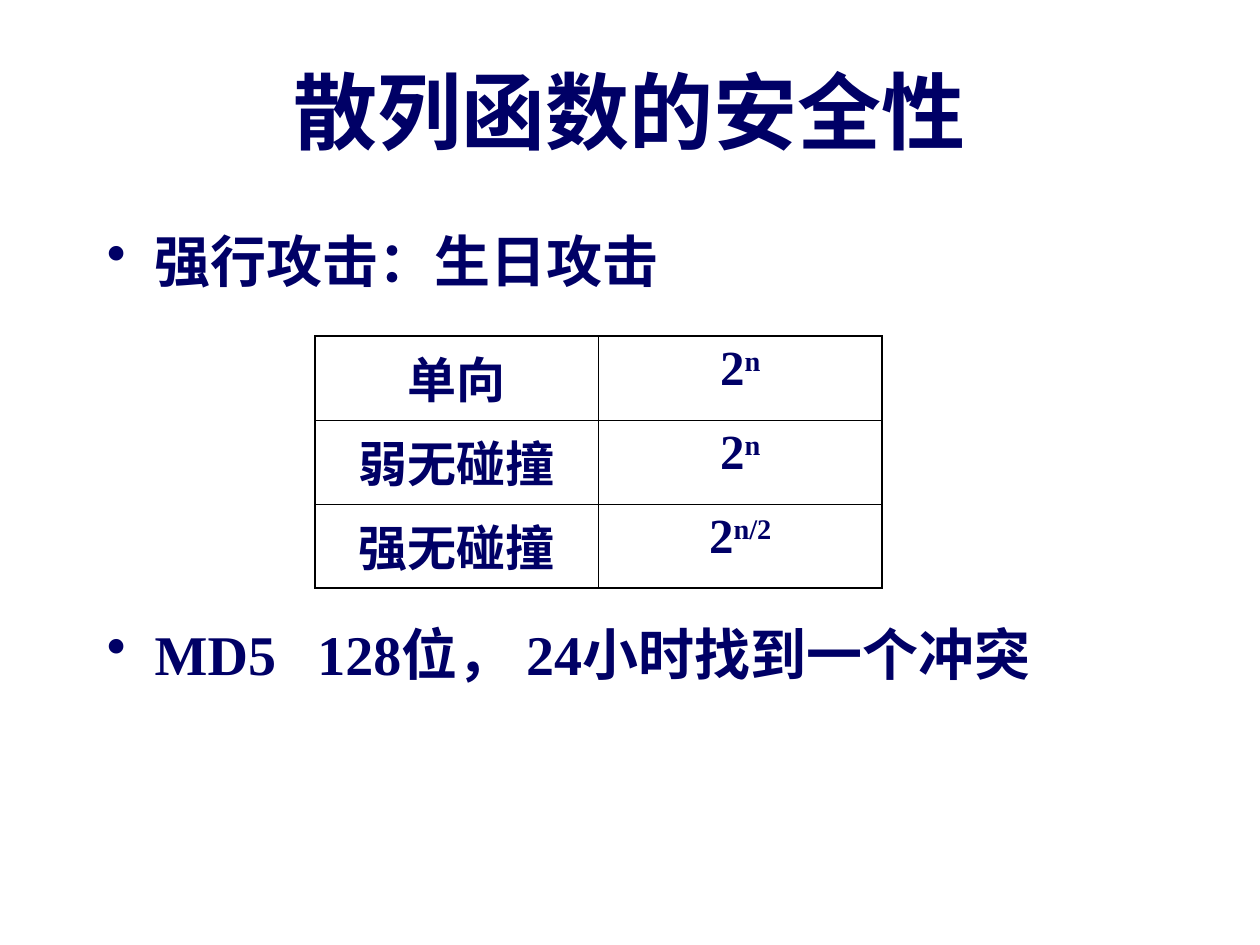
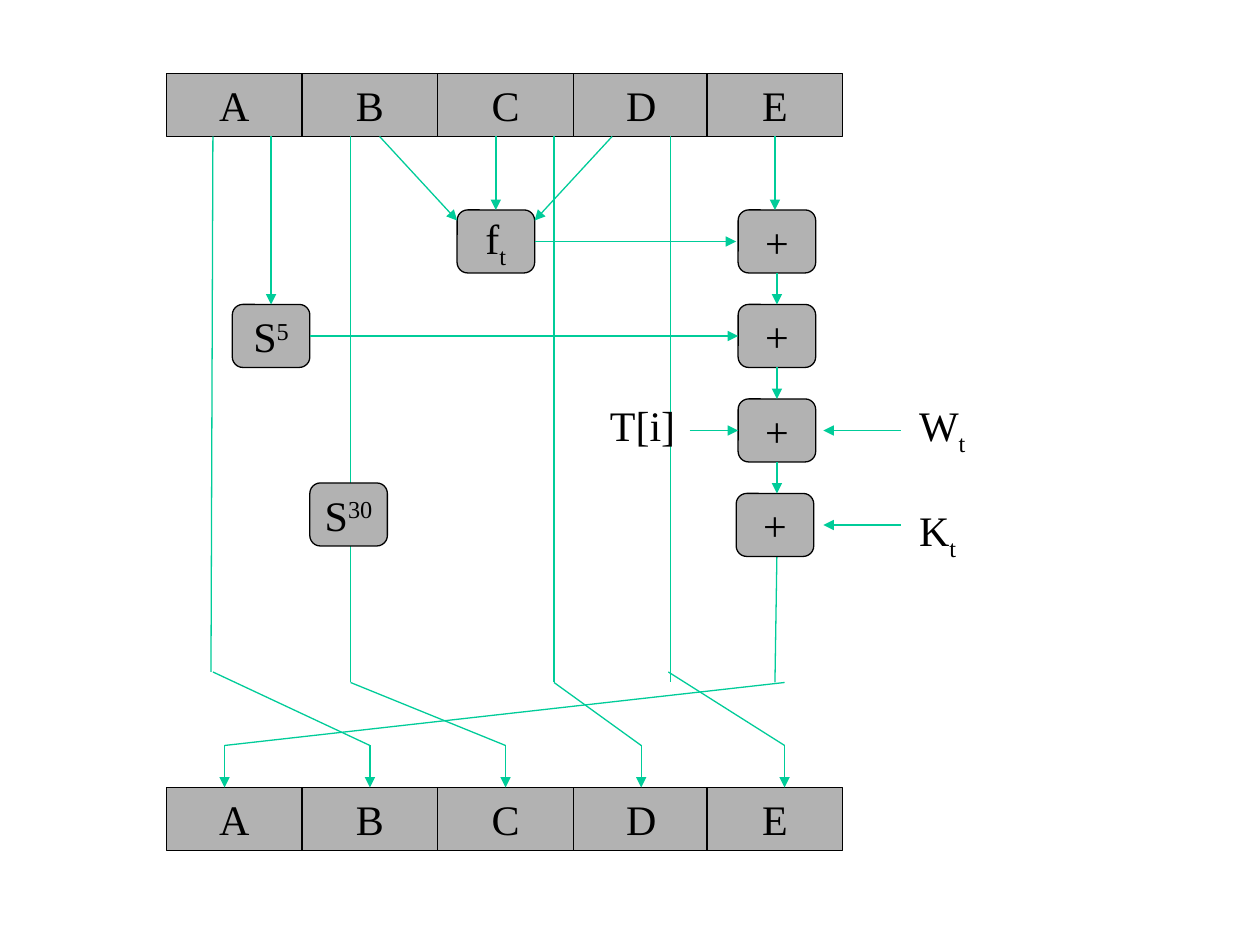
from dataclasses import dataclass
from lxml.etree import SubElement as Sub
from pptx import Presentation
from pptx.dml.color import RGBColor as Rgb
from pptx.enum.shapes import MSO_CONNECTOR as Link, MSO_SHAPE as Shape
from pptx.enum.text import MSO_ANCHOR as Anchor, PP_ALIGN as Align
from pptx.oxml.ns import qn
from pptx.util import Inches, Pt

FONT = "Times New Roman"
HUE = {"navy": "000066", "ink": "000000", "gray": "B2B2B2", "green": "00CC99"}
SUP, LOW = 30, -25  # raised and lowered text, in percent


@dataclass
class Box:
    """An area with its own grid of columns and rows."""
    x: float
    y: float
    w: float
    h: float
    cols: int
    rows: int

    def spot(self, col, row):
        return (round(self.x + self.w * col / self.cols),
                round(self.y + self.h * row / self.rows))

    def area(self, col, row, wide, high):
        span = round(self.w * wide / self.cols), round(self.h * high / self.rows)
        return self.spot(col, row) + span

    def inner(self, col, row, wide, high, cols, rows):
        return Box(*self.area(col, row, wide, high), cols, rows)


def color(name):
    return Rgb.from_string(HUE[name])


def write(para, text, size, hue, bold=False, mark="", shift=0):
    """Fill a paragraph; mark is a raised or lowered ending."""
    para.text = text
    if mark:
        end = para.add_run()
        end.text = mark
        end._r.get_or_add_rPr().set("baseline", str(shift * 1000))
    for run in para.runs:
        run.font.name, run.font.size, run.font.bold = FONT, Pt(size), bold
        run.font.color.rgb = color(hue)


def bullet(para, tab):
    props = para._p.get_or_add_pPr()
    props.set("marL", str(Inches(0.38)))
    props.set("indent", str(-Inches(0.38)))
    Sub(props, qn("a:buChar"), char="•")
    Sub(Sub(props, qn("a:tabLst")), qn("a:tab"), pos=str(Inches(tab)), algn="l")


def title(slide, area, text):
    frame = slide.shapes.add_textbox(*area).text_frame
    frame.word_wrap, frame.vertical_anchor = True, Anchor.MIDDLE
    para = frame.paragraphs[0]
    write(para, text, 48, "navy", True)
    para.alignment = Align.CENTER


def points(slide, area, lines, gap):
    frame = slide.shapes.add_textbox(*area).text_frame
    frame.word_wrap = True
    for i, line in enumerate(lines):
        para = frame.add_paragraph() if i else frame.paragraphs[0]
        bullet(para, 1.67)
        if i:
            para.space_before = Pt(gap)
        write(para, line, 32, "navy", True)


def edges(cell, widths):
    props = cell._tc.get_or_add_tcPr()
    for side, width in zip("LRTB", widths):
        line = Sub(props, qn(f"a:ln{side}"), w=str(Pt(width)))
        Sub(Sub(line, qn("a:solidFill")), qn("a:srgbClr"), val=HUE["ink"])


def grid(slide, area, data):
    """Table with a heavy frame and thin inner lines."""
    rows, cols = len(data), len(data[0])
    table = slide.shapes.add_table(rows, cols, *area).table
    table.first_row = table.horz_banding = False
    for r, row in enumerate(data):
        for c, (text, mark) in enumerate(row):
            cell = table.cell(r, c)
            outer = c == 0, c == cols - 1, r == 0, r == rows - 1
            edges(cell, [1.08 if out else 0.45 for out in outer])
            cell.fill.background()
            para = cell.text_frame.paragraphs[0]
            write(para, text, 28, "navy", True, mark, SUP)
            para.alignment = Align.CENTER


def attack(slide, box):
    title(slide, box.area(8, 3, 104, 15), "散列函数的安全性")
    points(slide, box.area(9, 21, 102, 59),
           ["强行攻击：生日攻击", "MD5\t128位， 24小时找到一个冲突"], 186)
    grid(slide, box.area(30, 32, 54, 24),
         [[("单向", ""), ("2", "n")],
          [("弱无碰撞", ""), ("2", "n")],
          [("强无碰撞", ""), ("2", "n/2")]])


def block(slide, area, text, mark="", shift=0, kind=Shape.ROUNDED_RECTANGLE):
    item = slide.shapes.add_shape(kind, *area)
    item.shadow.inherit = False
    item.fill.solid()
    item.fill.fore_color.rgb = color("gray")
    item.line.color.rgb, item.line.width = color("ink"), Pt(0.75)
    frame = item.text_frame
    frame.word_wrap, frame.vertical_anchor = False, Anchor.MIDDLE
    write(frame.paragraphs[0], text, 24, "ink", False, mark, shift)
    frame.paragraphs[0].alignment = Align.CENTER


def label(slide, area, text, mark=""):
    frame = slide.shapes.add_textbox(*area).text_frame
    frame.word_wrap = False
    write(frame.paragraphs[0], text, 24, "ink", False, mark, LOW)


def wire(slide, box, start, end, head=False):
    item = slide.shapes.add_connector(
        Link.STRAIGHT, *box.spot(*start), *box.spot(*end))
    item.line.color.rgb, item.line.width = color("green"), Pt(0.75)
    if head:
        Sub(item.line._get_or_add_ln(), qn("a:tailEnd"), type="triangle")
    Sub(item._element.spPr, qn("a:effectLst"))


def step(slide, box):
    """One round: registers on top, mixing in the middle, registers below."""
    # Register bars
    for row in (0, 68):
        for name, col in zip("ABCDE", (0, 14, 28, 42, 55.8)):
            block(slide, box.area(col, row, 14, 6), name, kind=Shape.RECTANGLE)

    # Plain lines
    for start, end in [
            ((4.8, 6), (4.6, 57)), ((19, 6), (19, 58)), ((40, 6), (40, 58)),
            ((52, 6), (52, 58)), ((63, 46), (62.8, 58)),
            ((4.8, 57), (21, 64)), ((19, 58), (35, 64)), ((40, 58), (49, 64)),
            ((51.8, 57), (63.8, 64)), ((63.8, 58), (6, 64))]:
        wire(slide, box, start, end)

    # Adders and functions
    adders = (13, 22, 31, 40)
    for row in adders:
        block(slide, box.area(58.8 if row == 40 else 59, row, 8, 6), "+")
    for col, row, text, mark, shift in [
            (30, 13, "f", "t", LOW), (6.8, 22, "S", "5", SUP),
            (14.8, 39, "S", "30", SUP)]:
        block(slide, box.area(col, row, 8, 6), text, mark, shift)

    # Arrows between adders and into the lower registers
    for row in adders[1:]:
        wire(slide, box, (63, row - 3), (63, row), True)
    for col in (6, 21, 35, 49, 63.8):
        wire(slide, box, (col, 64), (col, 68), True)

    # Arrows from the upper registers and the side inputs
    for start, end in [
            ((10.8, 6), (10.8, 22)), ((22, 6), (30, 14)), ((34, 6), (34, 13)),
            ((46, 6), (38, 14)), ((62.8, 6), (62.8, 13)),
            ((38, 16), (58.8, 16)), ((14.8, 25), (59, 25)),
            ((54, 34), (59, 34)), ((75.8, 34), (67.8, 34)),
            ((75.8, 43), (67.8, 43))]:
        wire(slide, box, start, end, True)

    # Input labels
    for col, row, wide, text, mark in [
            (44.5, 30.5, 9.4, "T[i]", ""), (76.4, 30.5, 7.4, "W", "t"),
            (76.4, 40.5, 6.4, "K", "t")]:
        label(slide, box.area(col, row, wide, 6), text, mark)


def main():
    deck = Presentation()
    deck.slide_width, deck.slide_height = Inches(10), Inches(7.5)
    page = Box(0, 0, deck.slide_width, deck.slide_height, 120, 90)
    blank = deck.slide_layouts[6]
    attack(deck.slides.add_slide(blank), page)
    step(deck.slides.add_slide(blank), page.inner(15.85, 7, 64.6, 74, 70, 74))
    deck.save("out.pptx")


if __name__ == "__main__":
    main()
